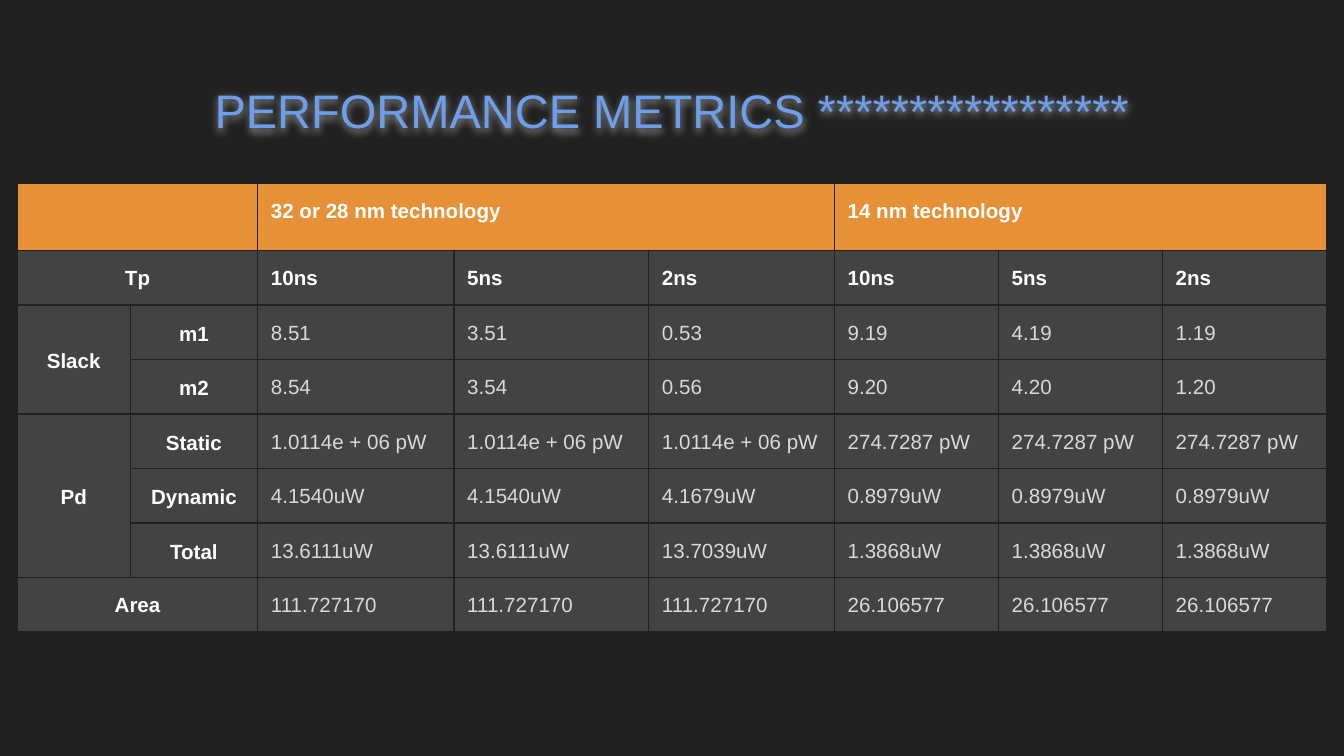
from lxml.etree import SubElement
from pptx import Presentation
from pptx.dml.color import RGBColor
from pptx.enum.text import MSO_ANCHOR as Anchor, PP_ALIGN as Align
from pptx.oxml.ns import qn
from pptx.util import Cm, Pt

TITLE = "PERFORMANCE METRICS *****************"
ROWS = [
    ["", "", "32 or 28 nm technology", "", "", "14 nm technology", "", ""],
    ["Tp", "", "10ns", "5ns", "2ns", "10ns", "5ns", "2ns"],
    ["Slack", "m1", "8.51", "3.51", "0.53", "9.19", "4.19", "1.19"],
    ["", "m2", "8.54", "3.54", "0.56", "9.20", "4.20", "1.20"],
    ["Pd", "Static"] + ["1.0114e + 06 pW"] * 3 + ["274.7287 pW"] * 3,
    ["", "Dynamic", "4.1540uW", "4.1540uW", "4.1679uW"] + ["0.8979uW"] * 3,
    ["", "Total", "13.6111uW", "13.6111uW", "13.7039uW"] + ["1.3868uW"] * 3,
    ["Area", ""] + ["111.727170"] * 3 + ["26.106577"] * 3,
]
# first row, first column, last row, last column
MERGES = [(0, 0, 0, 1), (0, 2, 0, 4), (0, 5, 0, 7), (1, 0, 1, 1),
          (2, 0, 3, 0), (4, 0, 6, 0), (7, 0, 7, 1)]
COLUMN_WIDTHS = [2.13, 2.41, 3.71, 3.68, 3.51, 3.1, 3.1, 3.1]
HEADER_HEIGHT, ROW_HEIGHT = 1.21, 1.03
LEFT, TABLE_TOP = 0.33, 3.46
WIDTH = sum(COLUMN_WIDTHS)
INSET = Cm(0.25)
BACKGROUND, HEADER_FILL, BODY_FILL = "212121", "E69138", "434343"
LABEL_COLOR, VALUE_COLOR, TITLE_COLOR = "FFFFFF", "D9D9D9", "6D9EEB"


def rgb(value):
    return RGBColor.from_string(value)


def format_text(paragraph, size, color, bold=False):
    for run in paragraph.runs:
        font = run.font
        font.name, font.size, font.bold = "Arial", Pt(size), bold
        font.color.rgb = rgb(color)


def add_borders(cell):
    properties = cell._tc.get_or_add_tcPr()
    for side in ("a:lnL", "a:lnR", "a:lnT", "a:lnB"):
        line = SubElement(properties, qn(side), w=str(Pt(0.75)))
        fill = SubElement(line, qn("a:solidFill"))
        SubElement(fill, qn("a:srgbClr"), val=BACKGROUND)


def add_text_glow(shape):
    """Soft light shadow just below the letters."""
    effects = SubElement(shape._element.spPr, qn("a:effectLst"))
    shadow = SubElement(effects, qn("a:outerShdw"), blurRad=str(Pt(4.5)),
                        dist=str(Pt(1.5)), dir="5400000", algn="bl", rotWithShape="0")
    color = SubElement(shadow, qn("a:srgbClr"), val="FFFFFF")
    SubElement(color, qn("a:alpha"), val="50000")


def add_title(slide):
    title = slide.shapes.add_textbox(Cm(LEFT), Cm(1.27), Cm(WIDTH), Cm(1.6))
    frame = title.text_frame
    frame.word_wrap = True
    frame.vertical_anchor = Anchor.MIDDLE
    frame.margin_left = frame.margin_right = INSET
    frame.margin_top = frame.margin_bottom = INSET
    frame.text = TITLE
    paragraph = frame.paragraphs[0]
    paragraph.alignment = Align.CENTER
    format_text(paragraph, 25.2, TITLE_COLOR)
    add_text_glow(title)


def fill_cell(cell, text, row, column):
    is_label = column < 2
    is_bold = is_label or row < 2
    add_borders(cell)
    cell.fill.solid()
    cell.fill.fore_color.rgb = rgb(BODY_FILL if row else HEADER_FILL)
    cell.margin_left = cell.margin_right = INSET
    cell.margin_top = cell.margin_bottom = INSET
    in_group = is_label and 2 <= row <= 6
    cell.vertical_anchor = Anchor.MIDDLE if in_group else Anchor.TOP
    if text:
        cell.text_frame.text = text
        paragraph = cell.text_frame.paragraphs[0]
        paragraph.line_spacing = 1.15
        paragraph.alignment = Align.CENTER if is_label else Align.LEFT
        format_text(paragraph, 11, LABEL_COLOR if is_bold else VALUE_COLOR, is_bold)


def add_metrics_table(slide):
    heights = [HEADER_HEIGHT] + [ROW_HEIGHT] * (len(ROWS) - 1)
    table = slide.shapes.add_table(len(ROWS), len(COLUMN_WIDTHS), Cm(LEFT),
                                   Cm(TABLE_TOP), Cm(WIDTH), Cm(sum(heights))).table
    table.horz_banding = False
    for column, width in zip(table.columns, COLUMN_WIDTHS):
        column.width = Cm(width)
    for row, height in zip(table.rows, heights):
        row.height = Cm(height)
    for r, texts in enumerate(ROWS):
        for c, text in enumerate(texts):
            fill_cell(table.cell(r, c), text, r, c)
    for top, left, bottom, right in MERGES:
        table.cell(top, left).merge(table.cell(bottom, right))


def main():
    presentation = Presentation()
    presentation.slide_width, presentation.slide_height = Cm(25.4), Cm(14.29)
    slide = presentation.slides.add_slide(presentation.slide_layouts[6])
    slide.background.fill.solid()
    slide.background.fill.fore_color.rgb = rgb(BACKGROUND)
    add_metrics_table(slide)
    add_title(slide)
    presentation.save("out.pptx")


if __name__ == "__main__":
    main()
